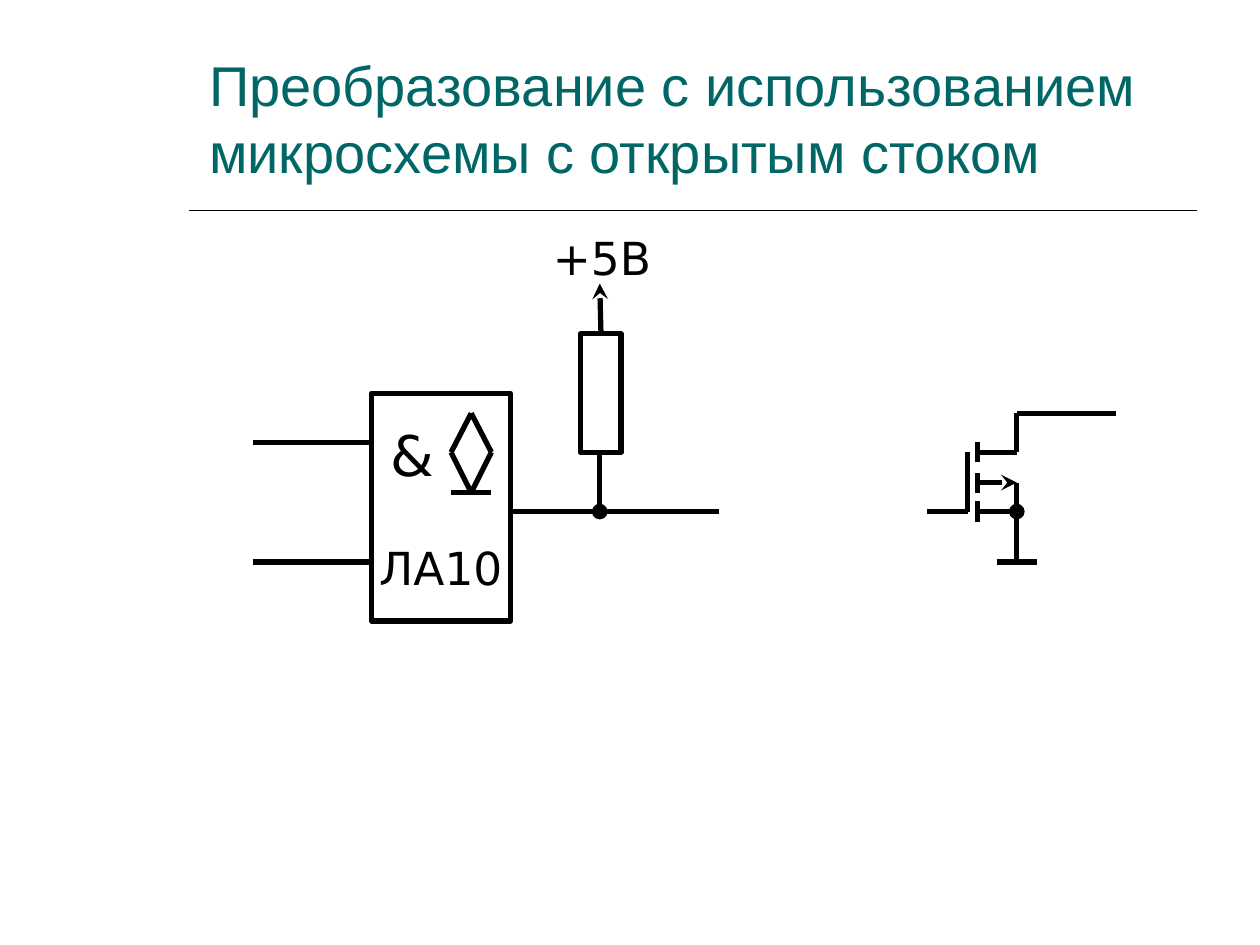
from typing import NamedTuple

from lxml.etree import SubElement as Sub
from pptx import Presentation
from pptx.dml.color import RGBColor
from pptx.enum.shapes import MSO_CONNECTOR as Conn, MSO_SHAPE as Kind
from pptx.enum.text import MSO_ANCHOR as Anchor, MSO_AUTO_SIZE as Fit, PP_ALIGN as Align
from pptx.oxml.ns import qn
from pptx.util import Emu, Pt

SCALE = 9144
INK = "000000"
TEAL = "006666"


class Wire(NamedTuple):
    x1: int
    y1: int
    x2: int
    y2: int
    tip: str = ""
    width: int = 3


class Box(NamedTuple):
    x: int
    y: int
    w: int
    h: int


RULE = Wire(150, 167, 950, 167, width=1)
GATE = Box(295, 312, 110, 181)
LOAD = Box(461, 265, 32, 94)
MARK = [
    Wire(358, 359, 374, 328),
    Wire(374, 328, 390, 359),
    Wire(390, 359, 374, 391),
    Wire(374, 391, 358, 359),
    Wire(358, 391, 390, 391),
]
PINS = [Wire(201, y, 295, y) for y in (351, 446)] + [Wire(406, 406, 571, 406)]
PULL = [Wire(476, 359, 476, 406, "oval"), Wire(477, 265, 476, 225, "stealth")]
BARS = [Wire(776, y + 8, 776, y - 8) for y in (406, 383, 359)]
TAPS = [
    Wire(776, y, 807, y, tip)
    for y, tip in ((406, "oval"), (383, "stealth"), (359, ""))
]
LEADS = [
    Wire(736, 406, 768, 406),
    Wire(768, 406, 768, 359),
    Wire(807, 446, 807, 383),
    Wire(791, 446, 823, 446),
    Wire(807, 359, 807, 328),
    Wire(807, 328, 886, 328),
]


def px(n: int) -> Emu:
    return Emu(n * SCALE)


def tint(code: str) -> RGBColor:
    return RGBColor.from_string(code)


def apply(item, values: dict) -> None:
    for name, value in values.items():
        setattr(item, name, value)


def draw(slide, wire: Wire) -> None:
    ends = map(px, wire[:4])
    line = slide.shapes.add_connector(Conn.STRAIGHT, *ends)
    line.line.width = Pt(wire.width)
    line.line.color.rgb = tint(INK)
    if wire.tip:
        Sub(line.line._get_or_add_ln(), qn("a:tailEnd"), type=wire.tip)
    Sub(line._element.spPr, qn("a:effectLst"))


def block(slide, box: Box):
    shape = slide.shapes.add_shape(Kind.RECTANGLE, *map(px, box))
    shape.shadow.inherit = False
    shape.fill.solid()
    shape.fill.fore_color.rgb = tint("FFFFFF")
    shape.line.width = Pt(3)
    shape.line.color.rgb = tint(INK)
    return shape


def write(para, text: str, size: int, face: str = "DejaVu Sans", code: str = INK) -> None:
    run = para.add_run()
    run.text = text
    apply(run.font, {"size": Pt(size), "name": face})
    run.font.color.rgb = tint(code)


def head(slide) -> None:
    title = slide.shapes.title
    spot = zip(("left", "top", "width", "height"), map(px, (156, 39, 788, 113)))
    apply(title, dict(spot))
    frame = title.text_frame
    apply(frame, {"word_wrap": True, "auto_size": Fit.NONE, "vertical_anchor": Anchor.BOTTOM})
    para = frame.paragraphs[0]
    para.alignment = Align.LEFT
    text = "Преобразование с использованием микросхемы с открытым стоком"
    write(para, text, 32, "Arial", TEAL)


def gate(slide) -> None:
    frame = block(slide, GATE).text_frame
    apply(frame, {"margin_left": 0, "margin_right": 0, "word_wrap": True,
                  "vertical_anchor": Anchor.MIDDLE})
    sign, name = frame.paragraphs[0], frame.add_paragraph()
    sign.alignment = Align.LEFT
    sign._p.get_or_add_pPr().set("marL", str(px(15)))
    write(sign, "&", 32)
    apply(name, {"alignment": Align.CENTER, "space_before": Pt(30)})
    write(name, "ЛА10", 26)


def power(slide) -> None:
    frame = slide.shapes.add_textbox(*map(px, (429, 178, 134, 54))).text_frame
    frame.word_wrap = True
    write(frame.paragraphs[0], "+5В", 26)


def main() -> None:
    deck = Presentation()
    apply(deck, {"slide_width": px(1000), "slide_height": px(750)})
    slide = deck.slides.add_slide(deck.slide_layouts[5])
    head(slide)
    gate(slide)
    for wire in [RULE, *MARK, *PINS]:
        draw(slide, wire)
    block(slide, LOAD)
    power(slide)
    for wire in PULL + BARS + TAPS + LEADS:
        draw(slide, wire)
    deck.save("out.pptx")


if __name__ == "__main__":
    main()
